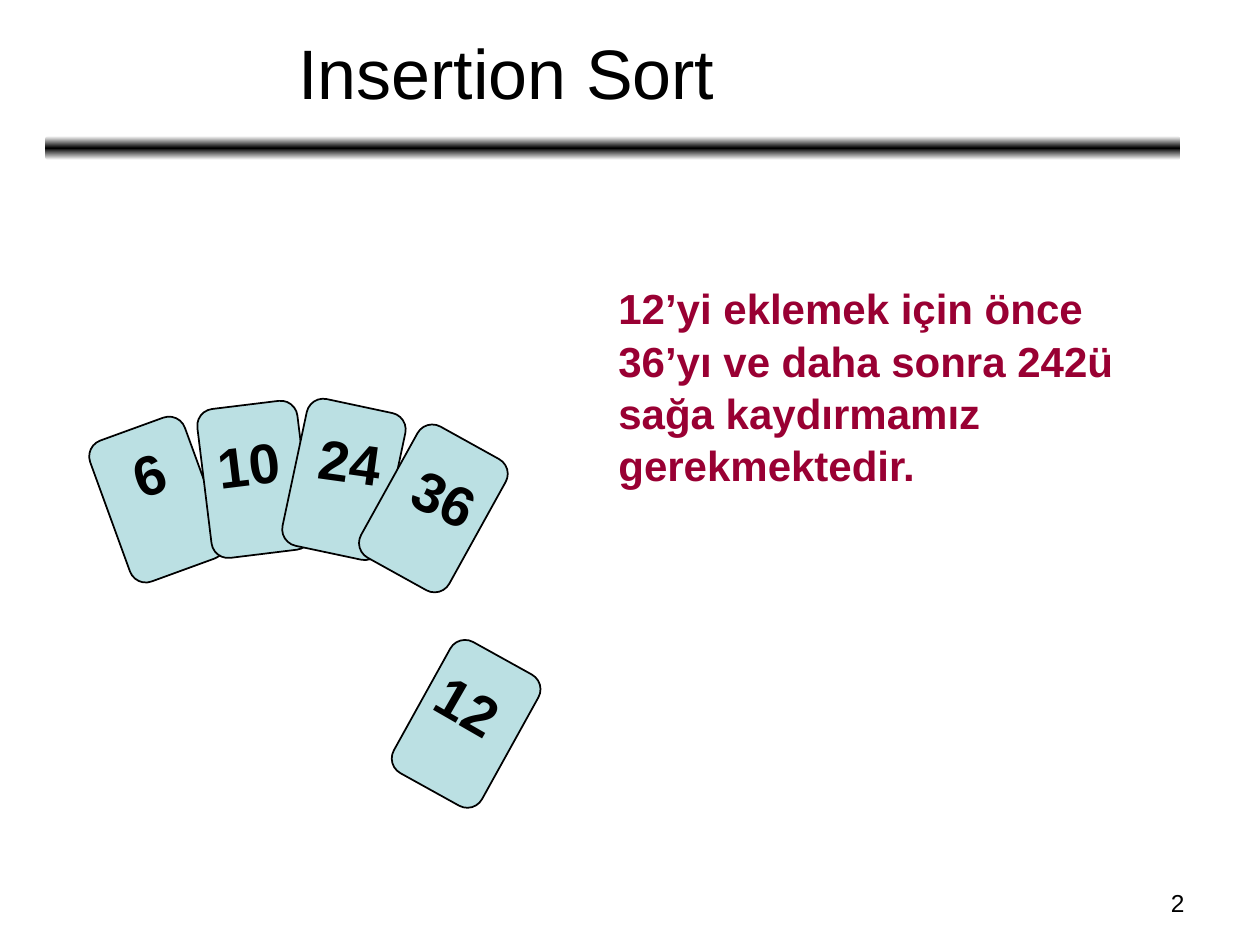
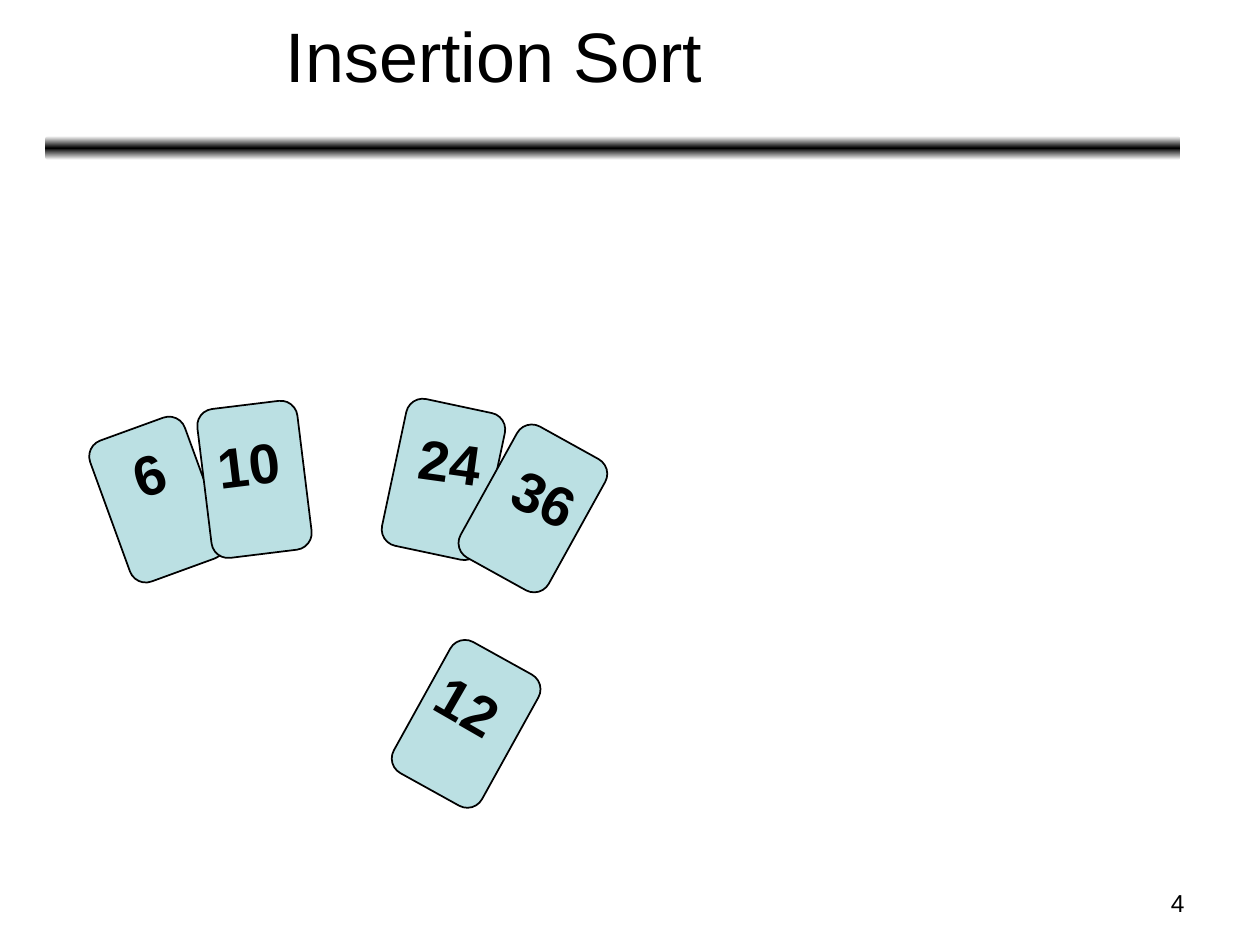
from copy import deepcopy

from pptx import Presentation
from pptx import util as u
from pptx.dml.color import RGBColor
from pptx.enum import shapes, text
from pptx.oxml.ns import qn

PX = 9144  # EMU per px, 100 px to the inch
COLORS = {"ink": "000000", "paper": "FFFFFF", "card": "BBE0E3", "note": "990033"}
FONT = "Arial"
CARD_SIZE = (80, 119)

# value: card left, top, turn; number left, top, width, turn
CARDS = {
    6: ((85, 337, -20), (96, 344, 45, -19)),
    10: ((162, 321, -7), (163, 336, 70, -7)),
    24: ((233, 321, 12), (244, 334, 70, 8)),
    36: ((304, 344, 29), (319, 363, 70, 25)),
    12: ((330, 515, 29), (337, 528, 70, 30)),
}
SHIFT = 79  # how far the larger cards move to the right

NOTE = ("12’yi eklemek için önce 36’yı ve daha sonra 242ü "
        "sağa kaydırmamız gerekmektedir.")


def px(*lengths):
    return [u.Emu(length * PX) for length in lengths]


def color(name):
    return RGBColor.from_string(COLORS[name])


def set_all(target, values):
    for name, value in values.items():
        setattr(target, name, value)


def write(frame, words, size, ink="ink", bold=False, align=None, **frame_format):
    set_all(frame, frame_format)
    paragraph = frame.paragraphs[0]
    paragraph.alignment = align
    run = paragraph.add_run()
    run.text = words
    set_all(run.font, {"name": FONT, "size": u.Pt(size), "bold": bold})
    run.font.color.rgb = color(ink)
    return paragraph


def add_text(slide, box, words, size, turn=0, **style):
    label = slide.shapes.add_textbox(*px(*box))
    label.rotation = turn
    return write(label.text_frame, words, size, **style)


def add_round_rect(slide, box):
    outline = slide.shapes.add_shape(shapes.MSO_SHAPE.ROUNDED_RECTANGLE, *px(*box))
    outline.shadow.inherit = False
    outline.adjustments[0] = 0.167
    return outline


def add_title_rule(slide):
    """Draw the shaded rule under the title and hand it to the layout."""
    rule = add_round_rect(slide, (36, 108, 901, 19))
    rule.line.fill.background()
    rule.fill.gradient()
    rule.fill.gradient_angle = 90
    stops = rule._element.spPr.find(qn("a:gradFill")).find(qn("a:gsLst"))
    stops.insert(1, deepcopy(stops[0]))
    for stop, place, name in zip(rule.fill.gradient_stops, (0, 0.5, 1),
                                 ("paper", "ink", "paper")):
        stop.color.rgb = color(name)
        stop.position = place
    slide.slide_layout.shapes._spTree.append(rule._element)


def add_cards(slide, values, shift=0):
    """Lay the cards first, then their numbers on top."""
    for value in values:
        left, top, turn = CARDS[value][0]
        card = add_round_rect(slide, (left + shift, top, *CARD_SIZE))
        card.rotation = turn
        card.fill.solid()
        card.fill.fore_color.rgb = color("card")
        card.line.color.rgb = color("ink")
        card.line.width = u.Pt(1)
    for value in values:
        left, top, width, turn = CARDS[value][1]
        add_text(slide, (left + shift, top, width, 63), str(value), 32, turn,
                 bold=True, word_wrap=False,
                 auto_size=text.MSO_AUTO_SIZE.SHAPE_TO_FIT_TEXT)


def add_slide(deck, layout, number, title_box):
    slide = deck.slides.add_slide(layout)
    title = slide.shapes.title
    set_all(title, dict(zip(("left", "top", "width", "height"), px(*title_box))))
    write(title.text_frame, "Insertion Sort", 40, align=text.PP_ALIGN.CENTER,
          vertical_anchor=text.MSO_ANCHOR.BOTTOM, word_wrap=True,
          auto_size=text.MSO_AUTO_SIZE.NONE)
    add_text(slide, (717, 700, 233, 35), str(number), 14,
             align=text.PP_ALIGN.RIGHT, word_wrap=True)
    return slide


def main():
    deck = Presentation()
    deck.slide_width, deck.slide_height = px(1000, 750)
    layout = deck.slide_layouts.get_by_name("Title Only")

    # The hand before the shift
    before = add_slide(deck, layout, 2, (56, 67, 692, 28))
    add_title_rule(before)
    note = add_text(before, (481, 218, 466, 170), NOTE, 24, ink="note", bold=True,
                    word_wrap=True, auto_size=text.MSO_AUTO_SIZE.SHAPE_TO_FIT_TEXT)
    note.line_spacing = 1.04
    for group in ((6, 10, 24), (12,), (36,)):
        add_cards(before, group)

    # The larger cards moved right, leaving a gap for 12
    after = add_slide(deck, layout, 4, (37, 25, 710, 57))
    add_cards(after, (6, 10))
    add_cards(after, (24, 36), SHIFT)
    add_cards(after, (12,))

    deck.save("out.pptx")


if __name__ == "__main__":
    main()
